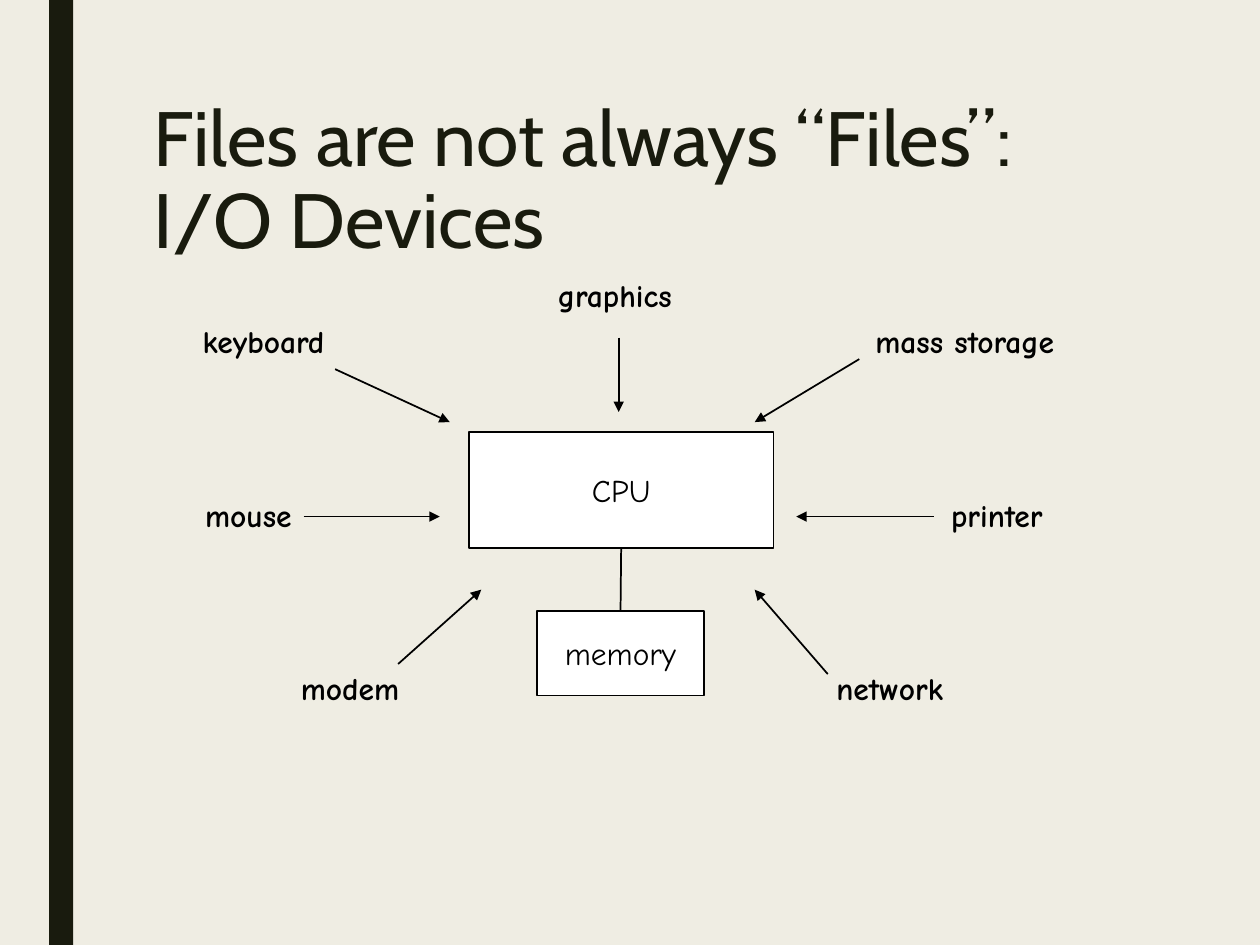
from lxml import etree
from pptx import Presentation
from pptx.dml.color import RGBColor
from pptx.enum import shapes, text
from pptx.oxml.ns import qn
from pptx.util import Inches, Pt

PAPER, DARK, BLACK, WHITE = "EFEDE3", "191B0E", "000000", "FFFFFF"
TITLE = "Files are not always “Files”: I/O Devices"

# name: left, top, width, height
BOXES = {
    "CPU": (3.72, 3.43, 2.42, 0.92),
    "memory": (4.26, 4.85, 1.33, 0.67),
}

# name, (left, top, width) of the label, arrow start, arrow end
DEVICES = [
    ("modem", (2.29, 5.26, 1.1), (3.16, 5.27), (3.82, 4.68)),
    ("network", (6.54, 5.26, 1.17), (6.57, 5.35), (5.99, 4.68)),
    ("mouse", (1.53, 3.89, 1.09), (2.41, 4.1), (3.49, 4.1)),
    ("printer", (7.45, 3.89, 1), (7.41, 4.1), (6.32, 4.1)),
    ("keyboard", (1.51, 2.51, 1.32), (2.66, 2.93), (3.57, 3.35)),
    ("mass storage", (6.85, 2.51, 1.83), (6.82, 2.85), (5.99, 3.35)),
    ("graphics", (4.33, 2.14, 1.25), (4.91, 2.68), (4.91, 3.27)),
]
LABEL_H = 0.4


def rgb(code):
    return RGBColor.from_string(code)


def write(shape, words, size=18, face="Comic Neue", color=BLACK, bold=False,
          align=text.PP_ALIGN.LEFT, anchor=text.MSO_ANCHOR.TOP,
          wrap=False, space=None):
    frame = shape.text_frame
    frame.word_wrap = wrap
    frame.vertical_anchor = anchor
    para = frame.paragraphs[0]
    para.alignment = align
    para.line_spacing = space
    run = para.add_run()
    run.text = words
    font = run.font
    font.size, font.name, font.bold = Pt(size), face, bold
    font.color.rgb = rgb(color)


def rect(slide, place, fill, line=None):
    shape = slide.shapes.add_shape(shapes.MSO_SHAPE.RECTANGLE,
                                   *map(Inches, place))
    shape.shadow.inherit = False
    shape.fill.solid()
    shape.fill.fore_color.rgb = rgb(fill)
    if line:
        shape.line.color.rgb = rgb(line)
        shape.line.width = Pt(1)
    else:
        shape.line.fill.background()
    return shape


def link(slide, start, end, arrow=True):
    line = slide.shapes.add_connector(shapes.MSO_CONNECTOR.STRAIGHT,
                                      *map(Inches, start + end))
    line.line.color.rgb = rgb(BLACK)
    line.line.width = Pt(1)
    props = line._element.spPr
    if arrow:
        etree.SubElement(props.find(qn("a:ln")), qn("a:tailEnd"),
                         type="triangle")
    etree.SubElement(props, qn("a:effectLst"))
    return line


def main():
    deck = Presentation()
    deck.slide_width, deck.slide_height = Inches(10), Inches(7.5)
    slide = deck.slides.add_slide(deck.slide_layouts[5])
    slide.background.fill.solid()
    slide.background.fill.fore_color.rgb = rgb(PAPER)

    rect(slide, (0.39, 0, 0.19, 7.5), DARK)
    title = slide.shapes.title
    title.left, title.top = Inches(1.12), Inches(0.75)
    title.width, title.height = Inches(7.88), Inches(1.62)
    write(title, TITLE, size=44, face="Cabin", color=DARK, wrap=True,
          space=0.89)

    boxes = {}
    for name, place in BOXES.items():
        boxes[name] = rect(slide, place, WHITE, BLACK)
        write(boxes[name], name, align=text.PP_ALIGN.CENTER,
              anchor=text.MSO_ANCHOR.MIDDLE)
    bus = link(slide, (4.92, 4.35), (4.92, 4.85), arrow=False)
    bus.begin_connect(boxes["CPU"], 2)
    bus.end_connect(boxes["memory"], 0)

    for name, place, start, end in DEVICES:
        label = slide.shapes.add_textbox(*map(Inches, place + (LABEL_H,)))
        write(label, name, bold=True)
        label.text_frame.auto_size = text.MSO_AUTO_SIZE.SHAPE_TO_FIT_TEXT
        link(slide, start, end)

    deck.save("out.pptx")


if __name__ == "__main__":
    main()
